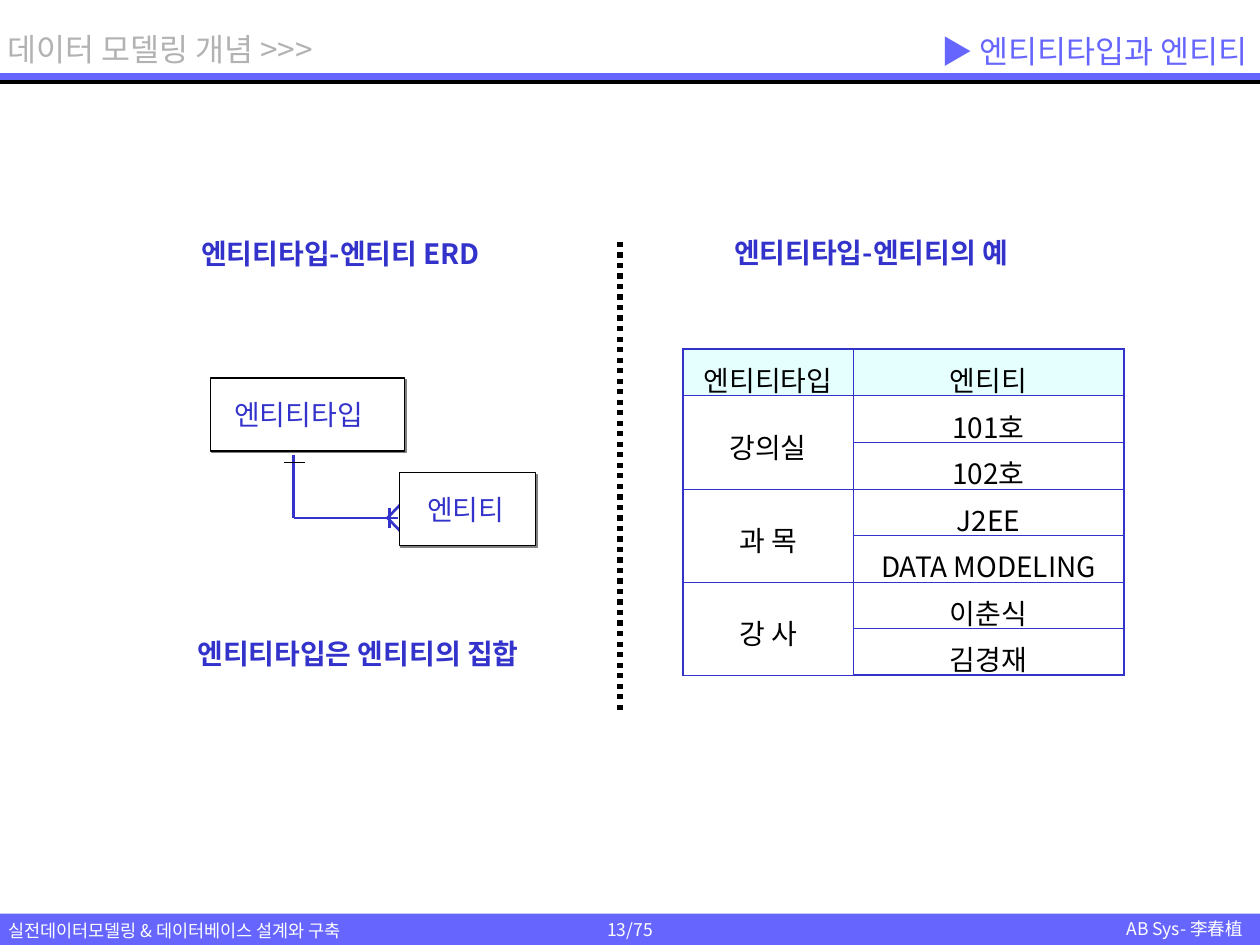
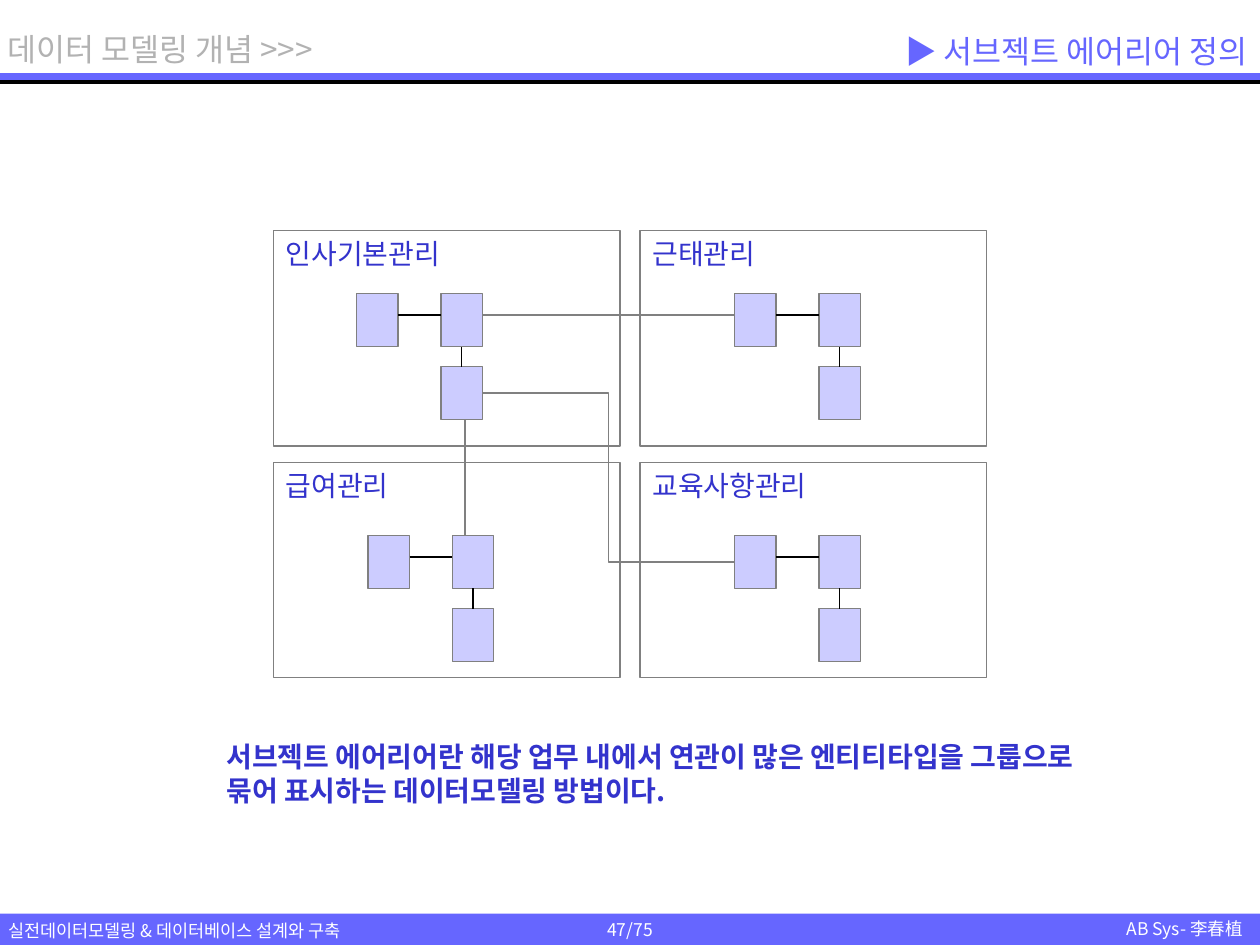
from dataclasses import dataclass

from lxml import etree
from pptx import Presentation
from pptx.dml.color import RGBColor
from pptx.enum import dml, shapes, text
from pptx.oxml import ns
from pptx.util import Inches, Pt


@dataclass(frozen=True)
class Theme:
    font: str = "Noto Sans CJK KR"
    band: str = "6666FF"
    ink: str = "3333CC"
    black: str = "000000"
    white: str = "FFFFFF"
    gray: str = "808080"
    pale: str = "B2B2B2"
    node: str = "CCCCFF"
    head: str = "CCFFFF"
    title: int = 18
    body: int = 16
    foot: int = 10


T = Theme()
RECT = shapes.MSO_SHAPE.RECTANGLE
LINE = shapes.MSO_CONNECTOR.STRAIGHT
BENT = shapes.MSO_CONNECTOR.ELBOW
LEFT, MID, RIGHT = text.PP_ALIGN.LEFT, text.PP_ALIGN.CENTER, text.PP_ALIGN.RIGHT
CENTER = text.MSO_ANCHOR.MIDDLE


def draw(page, kind, at, fill=None, edge=None, width=0.75):
    spots = [Inches(v) for v in at]
    if kind is None:
        return page.shapes.add_textbox(*spots)
    if isinstance(kind, shapes.MSO_CONNECTOR):
        item = page.shapes.add_connector(kind, *spots)
        etree.SubElement(item._element.spPr, ns.qn("a:effectLst"))
    else:
        item = page.shapes.add_shape(kind, *spots)
        item.shadow.inherit = False
        if fill:
            item.fill.solid()
            item.fill.fore_color.rgb = RGBColor.from_string(fill)
        else:
            item.fill.background()
    if edge:
        item.line.color.rgb = RGBColor.from_string(edge)
        item.line.width = Pt(width)
    else:
        item.line.fill.background()
    return item


def put(frame, words, size, color, bold=False, align=LEFT, anchor=text.MSO_ANCHOR.TOP):
    frame.word_wrap = True
    frame.vertical_anchor = anchor
    for i, part in enumerate(words.split("\n")):
        para = frame.add_paragraph() if i else frame.paragraphs[0]
        para.alignment = align
        run = para.add_run()
        run.text = part
        run.font.name = T.font
        run.font.size = Pt(size)
        run.font.bold = bold
        run.font.color.rgb = RGBColor.from_string(color)
        east = etree.SubElement(run._r.get_or_add_rPr(), ns.qn("a:ea"))
        east.set("typeface", T.font)


deck = Presentation()
deck.slide_width, deck.slide_height = Inches(10), Inches(7.5)

pages = []
for number, topic in (("13/75", "엔티티타입과 엔티티"), ("47/75", "서브젝트 에어리어 정의")):
    page = deck.slides.add_slide(deck.slide_layouts[6])
    pages.append(page)
    foot = draw(page, RECT, (0, 7.25, 10, 0.25), T.band)
    put(foot.text_frame, number, T.foot, T.white, align=MID, anchor=CENTER)
    draw(page, RECT, (0, 0.58, 10, 0.06), T.band)
    for y in (0.64, 0.65, 0.66):
        draw(page, LINE, (0, y, 10, y), edge=T.black)
    for at, words, size, color, align in (
        ((-0.03, 7.25, 3.13, 0.27), "실전데이터모델링 & 데이터베이스 설계와 구축", T.foot, T.white, LEFT),
        ((8.63, 7.24, 1.33, 0.27), "AB Sys- 李春植", T.foot, T.white, RIGHT),
        ((-0.04, 0.19, 2.8, 0.4), "데이터 모델링 개념 >>>", T.title, T.pale, LEFT),
    ):
        put(draw(page, None, at).text_frame, words, size, color, align=align)
    head = draw(page, None, (5, 0.19, 5, 0.43))
    put(head.text_frame, "▶ " + topic, T.title, T.band, align=RIGHT, anchor=CENTER)

model, area = pages

for at, words in (
    ((1.47, 5, 2.87, 0.37), "엔티티타입은 엔티티의 집합"),
    ((1.5, 1.83, 2.83, 0.37), "엔티티타입-엔티티 ERD"),
    ((5.73, 1.82, 2.56, 0.37), "엔티티타입-엔티티의 예"),
):
    put(draw(model, None, at).text_frame, words, T.body, T.ink, bold=True)

claw = draw(model, shapes.MSO_SHAPE.ISOSCELES_TRIANGLE, (3.01, 4.05, 0.25, 0.12), edge=T.ink, width=1.5)
claw.rotation = 270
for at in ((2.33, 4.11, 3.16, 4.11), (3.09, 4.19, 3.09, 4.03), (2.33, 4.11, 2.33, 3.61)):
    draw(model, LINE, at, edge=T.ink, width=1.5)
draw(model, LINE, (2.25, 3.67, 2.42, 3.67), edge=T.black)

for at, words, inset in (
    ((1.67, 3, 1.54, 0.58), "엔티티타입", 0.19),
    ((3.17, 3.75, 1.08, 0.58), "엔티티", 0.22),
):
    box = draw(model, RECT, at, T.white, T.black)
    glow = box._element.spPr.find(ns.qn("a:effectLst"))
    shade = etree.SubElement(glow, ns.qn("a:outerShdw"), dist=str(Pt(1.4)), dir="2700000", algn="ctr", rotWithShape="0")
    etree.SubElement(shade, ns.qn("a:srgbClr"), val=T.gray)
    box.text_frame.margin_left = Inches(inset)
    put(box.text_frame, words, T.body, T.ink, anchor=CENTER)

split = draw(model, LINE, (4.92, 1.92, 4.92, 5.67), edge=T.black, width=3)
split.line.dash_style = dml.MSO_LINE.ROUND_DOT

rows = [
    ("엔티티타입", "엔티티"),
    ("강의실", "101호"), ("", "102호"),
    ("과 목", "J2EE"), ("", "DATA MODELING"),
    ("강 사", "이춘식"), ("", "김경재"),
]
last = len(rows) - 1
grid = model.shapes.add_table(len(rows), 2, Inches(5.42), Inches(2.77), Inches(3.5), Inches(0.37 * len(rows))).table
grid.columns[0].width, grid.columns[1].width = Inches(1.35), Inches(2.15)
for r, row in enumerate(rows):
    grid.rows[r].height = Inches(0.37)
    for c, words in enumerate(row):
        cell = grid.cell(r, c)
        cell.margin_top, cell.margin_bottom = Inches(0.08), Inches(0.02)
        cell.vertical_anchor = CENTER
        if words:
            put(cell.text_frame, words, T.body, T.black, align=MID, anchor=CENTER)
        props = cell._tc.get_or_add_tcPr()
        for side, outer in (("L", c == 0), ("R", c == 1), ("T", r == 0), ("B", r == last)):
            rule = etree.SubElement(props, ns.qn("a:ln" + side), w=str(Pt(1.08 if outer else 0.23)))
            paint = etree.SubElement(rule, ns.qn("a:solidFill"))
            etree.SubElement(paint, ns.qn("a:srgbClr"), val=T.ink)
        cell.fill.solid()
        cell.fill.fore_color.rgb = RGBColor.from_string(T.white if r else T.head)
        if r == 0:
            tint = props.find(ns.qn("a:solidFill"))[0]
            etree.SubElement(tint, ns.qn("a:alpha"), val="50000")
for r in range(1, last, 2):
    grid.cell(r, 0).merge(grid.cell(r + 1, 0))

note = draw(area, None, (1.7, 5.82, 7.52, 0.64))
put(
    note.text_frame,
    "서브젝트 에어리어란 해당 업무 내에서 연관이 많은 엔티티타입을 그룹으로\n묶어 표시하는 데이터모델링 방법이다.",
    T.body, T.ink, bold=True,
)

trios = []
for x, y, words, left, top in (
    (2.17, 1.83, "인사기본관리", 2.83, 2.33),
    (5.08, 1.83, "근태관리", 5.83, 2.33),
    (2.17, 3.67, "급여관리", 2.92, 4.25),
    (5.08, 3.67, "교육사항관리", 5.83, 4.25),
):
    panel = draw(area, RECT, (x, y, 2.75, 1.71), T.white, T.gray)
    put(panel.text_frame, words, T.body, T.ink)
    trio = [
        draw(area, RECT, (left + dx, top + dy, 0.33, 0.42), T.node, T.gray)
        for dx, dy in ((0, 0), (0.67, 0), (0.67, 0.58))
    ]
    trios.append(trio)
    draw(area, LINE, (left + 0.33, top + 0.17, left + 0.67, top + 0.17), edge=T.black)
    stem = draw(area, LINE, (left + 0.83, top + 0.58, left + 0.83, top + 0.42), edge=T.black)
    stem.begin_connect(trio[2], 0)
    stem.end_connect(trio[1], 2)

draw(area, LINE, (3.69, 3.33, 3.69, 4.25), edge=T.gray)
draw(area, LINE, (3.83, 2.5, 5.83, 2.5), edge=T.gray)
bend = draw(area, BENT, (3.83, 3.13, 5.83, 4.46), edge=T.gray)
bend.begin_connect(trios[0][2], 3)
bend.end_connect(trios[3][0], 1)

deck.save("out.pptx")
